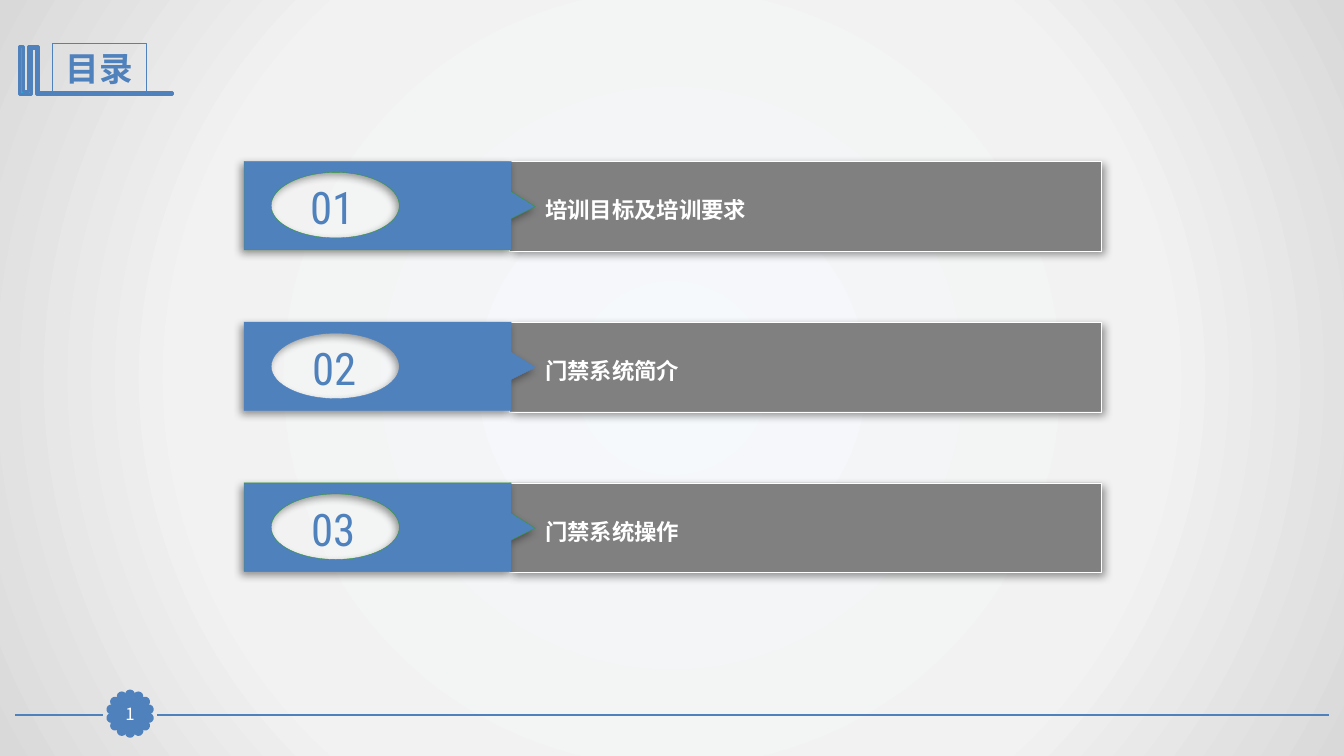
import math
import pptx
import pptx.util
import pptx.dml.color
import pptx.enum.shapes
import pptx.enum.text
import pptx.oxml
import pptx.oxml.ns

Inches, Pt = pptx.util.Inches, pptx.util.Pt
RGB = pptx.dml.color.RGBColor.from_string
Kind = pptx.enum.shapes.MSO_SHAPE
Align, Anchor = pptx.enum.text.PP_ALIGN, pptx.enum.text.MSO_ANCHOR
Auto = pptx.enum.text.MSO_AUTO_SIZE
NS = pptx.oxml.ns.nsdecls("a")
COLORS = {"blue": "4F81BD", "cyan": "28A9D6", "gray": "808080",
          "green": "339933", "white": "FFFFFF", "black": "000000"}
FONT = "Roboto Condensed"


def dress(shape, fill, line, width, angle=None):
    """Set fill, outline and, when an angle is given, a soft shadow."""
    shape.shadow.inherit = False
    if fill:
        shape.fill.solid()
        shape.fill.fore_color.rgb = RGB(COLORS[fill])
    else:
        shape.fill.background()
    shape.line.color.rgb = RGB(COLORS[line])
    shape.line.width = Pt(width)
    if angle is not None:
        effects = shape.element.spPr.find(pptx.oxml.ns.qn("a:effectLst"))
        effects.append(pptx.oxml.parse_xml(
            f'<a:outerShdw {NS} blurRad="{Pt(6)}" dist="{Pt(3)}" '
            f'dir="{angle * 60000}" algn="ctr" rotWithShape="0">'
            f'<a:srgbClr val="{COLORS["black"]}"><a:alpha val="40000"/>'
            '</a:srgbClr></a:outerShdw>'))


def write(shape, text, size, font, color, bold=False, align=Align.CENTER,
          anchor=Anchor.MIDDLE, grow=True):
    frame = shape.text_frame
    frame.word_wrap = True
    frame.vertical_anchor = anchor
    frame.auto_size = Auto.SHAPE_TO_FIT_TEXT if grow else Auto.NONE
    para = frame.paragraphs[0]
    para.alignment = align
    run = para.add_run()
    run.text = text
    run.font.size = Pt(size)
    run.font.name = font
    run.font.bold = bold
    run.font.color.rgb = RGB(COLORS[color])


prs = pptx.Presentation()
prs.slide_width, prs.slide_height = Inches(13.33), Inches(7.5)
slide = prs.slides.add_slide(prs.slide_layouts[6])
shapes = slide.shapes

# Background: light centre fading to gray corners
slide.background.fill.gradient()
grad = slide.element.find(".//" + pptx.oxml.ns.qn("a:gradFill"))
stops = "".join(f'<a:gs pos="{pos * 1000}"><a:srgbClr val="{shade}"/></a:gs>'
                for pos, shade in [(0, "F6F9FC"), (63, "F2F2F2"), (100, "D9D9D9")])
grad.getparent().replace(grad, pptx.oxml.parse_xml(
    f'<a:gradFill {NS} rotWithShape="1"><a:gsLst>{stops}</a:gsLst>'
    '<a:path path="circle"><a:fillToRect l="50000" t="50000" r="50000" '
    'b="50000"/></a:path></a:gradFill>'))

# Footer rule and scalloped badge
for start, end in [(13.18, 1.56), (1.02, 0.15)]:
    rule = shapes.add_connector(pptx.enum.shapes.MSO_CONNECTOR.STRAIGHT,
                                Inches(start), Inches(7.09), Inches(end), Inches(7.09))
    rule.line.color.rgb = RGB(COLORS["blue"])
    rule.line.width = Pt(1.25)
    rule.element.spPr.append(pptx.oxml.parse_xml(f"<a:effectLst {NS}/>"))

badge = shapes.add_group_shape()
petals, dot = 14, 0.07
for i in range(petals):
    turn = 2 * math.pi * i / petals
    left = 1.29 + 0.19 * math.sin(turn) - dot / 2
    top = 7.08 - 0.19 * math.cos(turn) - dot / 2
    petal = badge.shapes.add_shape(Kind.OVAL, Inches(left), Inches(top),
                                   Inches(dot), Inches(dot))
    petal.rotation = 360 * i / petals
    dress(petal, "blue", "blue", 2)

# Heading
bracket = [(0.37, 0.46), (0.38, 0.46), (0.38, 0.92), (1.71, 0.92), (1.71, 0.94),
           (0.37, 0.94), (0.36, 0.94), (0.36, 0.48), (0.31, 0.48), (0.31, 0.94),
           (0.19, 0.94), (0.19, 0.46), (0.23, 0.46), (0.23, 0.91), (0.28, 0.91),
           (0.28, 0.46)]
points = [(Inches(x), Inches(y)) for x, y in bracket]
pen = shapes.build_freeform(*points[0])
pen.add_line_segments(points[1:])
dress(pen.convert_to_shape(), "cyan", "blue", 2)

title = shapes.add_shape(Kind.RECTANGLE, Inches(0.52), Inches(0.43),
                         Inches(0.93), Inches(0.5))
dress(title, None, "blue", 0.75)
write(title, "目录", 24, FONT, "blue", bold=True)

page = shapes.add_shape(Kind.RECTANGLE, Inches(1.13), Inches(6.93),
                        Inches(0.32), Inches(0.31))
dress(page, "blue", "blue", 0.75)
frame = page.text_frame
frame.margin_left = frame.margin_right = frame.margin_top = frame.margin_bottom = 0
write(page, "1", 12, "Noto Sans CJK SC", "white", grow=False)

# Contents: gray bar, blue tag with an oval window, number and topic
tag = [(2.42, 0), (5.07, 0), (5.07, 0.3), (5.31, 0.45), (5.07, 0.57),
       (5.07, 0.88), (2.42, 0.88)]
# Oval window as four curves, measured from the corner of the tag
oval = [(0.91, 0.11), (0.56, 0.11), (0.27, 0.26), (0.27, 0.44),
        (0.27, 0.62), (0.56, 0.76), (0.91, 0.76),
        (1.26, 0.76), (1.54, 0.62), (1.54, 0.44),
        (1.54, 0.26), (1.26, 0.11), (0.91, 0.11)]
marks = [f'<a:pt x="{Inches(x)}" y="{Inches(y)}"/>' for x, y in oval]
curves = "".join(f'<a:cubicBezTo>{"".join(marks[i:i + 3])}</a:cubicBezTo>'
                 for i in range(1, len(marks), 3))
window = (f'<a:path {NS}><a:moveTo>{marks[0]}</a:moveTo>{curves}'
          '<a:close/></a:path>')
topics = [("培训目标及培训要求", "green", 2.83, 0.93),
          ("门禁系统简介", "blue", 2.81, 1.01),
          ("门禁系统操作", "green", 2.8, 1.01)]

for i, (topic, edge, left, width) in enumerate(topics):
    top = 1.6 + 1.595 * i
    row = shapes.add_group_shape().shapes
    bar = row.add_shape(Kind.RECTANGLE, Inches(5.05), Inches(top),
                        Inches(5.87), Inches(0.89))
    dress(bar, "gray", "white", 0.25, 45)

    rim = [(Inches(x), Inches(top + y)) for x, y in tag]
    pen = row.build_freeform(*rim[0])
    pen.add_line_segments(rim[1:])
    flag = pen.convert_to_shape()
    outline = flag.element.find(".//" + pptx.oxml.ns.qn("a:path"))
    for n, step in enumerate(list(pptx.oxml.parse_xml(window))):
        outline.insert(n, step)
    dress(flag, "blue", edge, 0.25, 135)

    num = row.add_textbox(Inches(left), Inches(top + 0.13), Inches(width), Inches(0.64))
    write(num, f"{i + 1:02}", 32, FONT, "blue")
    label = row.add_textbox(Inches(5.31), Inches(top + 0.3), Inches(5.61), Inches(0.37))
    write(label, topic, 16, "Arial", "white", bold=True,
          align=Align.LEFT, anchor=Anchor.TOP)

prs.save("out.pptx")
